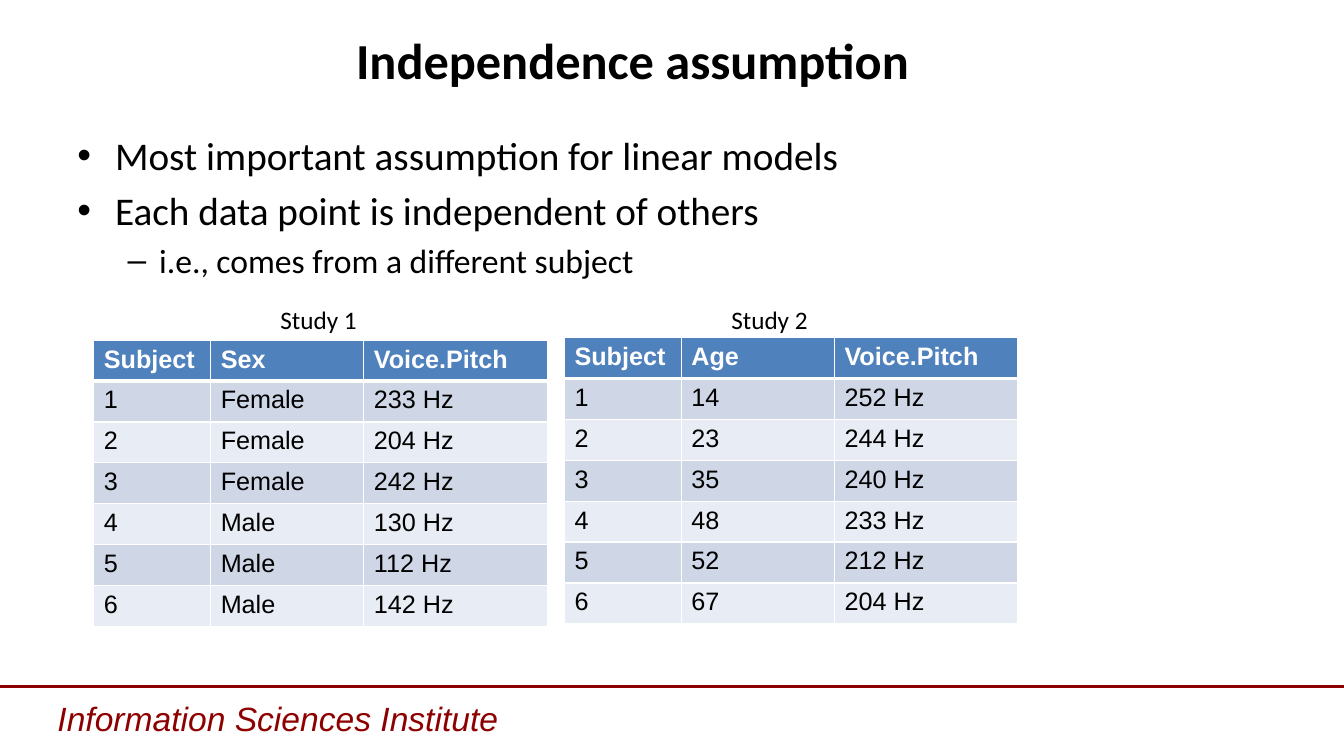
from lxml.etree import SubElement
from pptx import Presentation
from pptx.dml.color import RGBColor
from pptx.enum.shapes import MSO_CONNECTOR
from pptx.enum.text import MSO_ANCHOR, MSO_AUTO_SIZE, PP_ALIGN
from pptx.oxml.ns import qn
from pptx.util import Pt

BLACK = RGBColor(0x00, 0x00, 0x00)
WHITE = RGBColor(0xFF, 0xFF, 0xFF)
DARK_RED = RGBColor(0x8E, 0x00, 0x00)
HEADER_BLUE = RGBColor(0x4F, 0x81, 0xBD)
BANDS = (RGBColor(0xCF, 0xD7, 0xE7), RGBColor(0xE8, 0xEC, 0xF4))

SLIDE_WIDTH, SLIDE_HEIGHT = 960, 540
COLUMN_WIDTHS = (83.5, 109.4, 131)
ROW_HEIGHT = 29.2

BULLETS = [
    ("Most important assumption for linear models", 0, 28),
    ("Each data point is independent of others", 0, 28),
    ("i.e., comes from a different subject", 1, 24),
]
SEXES = ["Female"] * 3 + ["Male"] * 3
SEX_PITCHES = [233, 204, 242, 130, 112, 142]
AGES = [14, 23, 35, 48, 52, 67]
AGE_PITCHES = [252, 244, 240, 233, 212, 204]


def place(shape, box):
    shape.left, shape.top, shape.width, shape.height = map(Pt, box)


def style(para, font_name, size, color, bold=False, italic=False):
    for run in para.runs:
        font = run.font
        font.name, font.size = font_name, Pt(size)
        font.bold, font.italic = bold, italic
        font.color.rgb = color


def add_label(page, box, text, *font):
    label = page.shapes.add_textbox(*map(Pt, box))
    label.text_frame.word_wrap = True
    label.text_frame.text = text
    style(label.text_frame.paragraphs[0], *font)


def fill_title(page, box):
    title = page.shapes.title
    place(title, box)
    frame = title.text_frame
    frame.text = "Independence assumption"
    frame.auto_size = MSO_AUTO_SIZE.NONE
    frame.vertical_anchor = MSO_ANCHOR.MIDDLE
    para = frame.paragraphs[0]
    para.alignment = PP_ALIGN.CENTER
    style(para, "Calibri", 36, BLACK, bold=True)


def fill_body(page, box):
    body = page.placeholders[1]
    place(body, box)
    frame = body.text_frame
    frame.auto_size = MSO_AUTO_SIZE.NONE
    for index, (text, level, size) in enumerate(BULLETS):
        para = frame.add_paragraph() if index else frame.paragraphs[0]
        para.text = text
        para.level = level
        para.space_before = Pt(size / 5 if index else 0)
        style(para, "Calibri", size, BLACK)


def set_borders(cell, row):
    """Draw white cell borders, with a thick rule under the header row."""
    properties = cell._tc.get_or_add_tcPr()
    widths = {"a:lnL": 1, "a:lnR": 1, "a:lnT": 3 if row == 1 else 1,
              "a:lnB": 3 if row == 0 else 1}
    for tag, width in widths.items():
        border = SubElement(properties, qn(tag), w=str(Pt(width)))
        fill = SubElement(border, qn("a:solidFill"))
        SubElement(fill, qn("a:srgbClr"), val=str(WHITE))


def add_study(page, left, top, label_box, name, factor, levels, pitches):
    """Place a labelled table of one factor against voice pitch."""
    rows = [("Subject", factor, "Voice.Pitch")]
    for subject, (level, pitch) in enumerate(zip(levels, pitches), 1):
        rows.append((str(subject), str(level), f"{pitch} Hz"))
    table = page.shapes.add_table(
        len(rows), len(COLUMN_WIDTHS), Pt(left), Pt(top),
        Pt(sum(COLUMN_WIDTHS)), Pt(ROW_HEIGHT * len(rows))).table
    for column, width in zip(table.columns, COLUMN_WIDTHS):
        column.width = Pt(width)
    for row, values in enumerate(rows):
        table.rows[row].height = Pt(ROW_HEIGHT)
        header = row == 0
        for column, value in enumerate(values):
            cell = table.cell(row, column)
            cell.text = value
            set_borders(cell, row)
            cell.fill.solid()
            cell.fill.fore_color.rgb = HEADER_BLUE if header else BANDS[(row - 1) % 2]
            style(cell.text_frame.paragraphs[0], "Arial", 18,
                  WHITE if header else BLACK, header)
    add_label(page, label_box, name, "Calibri", 18, BLACK)


def add_footer(page, left, top, width, height):
    rule = page.shapes.add_connector(
        MSO_CONNECTOR.STRAIGHT, Pt(left), Pt(top), Pt(left + width), Pt(top))
    rule.line.color.rgb = DARK_RED
    rule.line.width = Pt(2.25)
    SubElement(rule._element.spPr, qn("a:effectLst"))
    add_label(page, (left + 34, top + 4.5, 473, height - 13),
              "Information Sciences Institute", "Arial", 24, DARK_RED, False, True)


def main():
    deck = Presentation()
    deck.slide_width, deck.slide_height = Pt(SLIDE_WIDTH), Pt(SLIDE_HEIGHT)
    page = deck.slides.add_slide(deck.slide_layouts[1])
    add_footer(page, 0, 490.2, SLIDE_WIDTH, SLIDE_HEIGHT - 490.2)
    fill_title(page, (48, 17.3, 808, 50.4))
    fill_body(page, (48, 90, 865, 392.4))
    add_study(page, 403.2, 241.2, (515.3, 213.8, 70, 29), "Study 2",
              "Age", AGES, AGE_PITCHES)
    add_study(page, 67, 243, (193.2, 213.8, 70, 29), "Study 1",
              "Sex", SEXES, SEX_PITCHES)
    deck.save("out.pptx")


if __name__ == "__main__":
    main()
